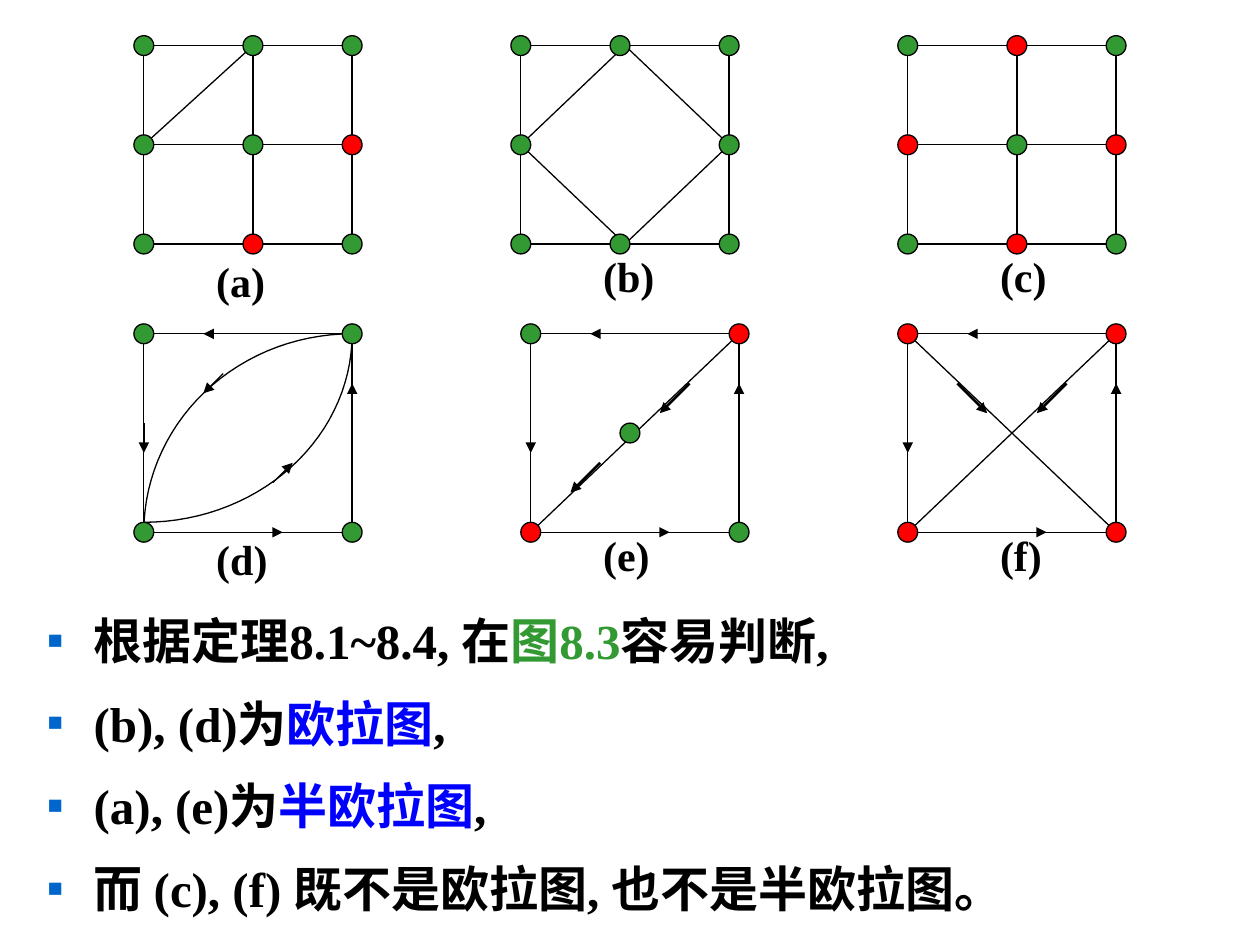
"""Build a slide that sorts six graphs into Euler, semi-Euler and other graphs."""
import dataclasses
import math

import pptx
import pptx.dml.color
import pptx.enum.shapes
import pptx.enum.text
import pptx.oxml
import pptx.oxml.ns
import pptx.util

Cm = pptx.util.Cm
Pt = pptx.util.Pt
RGB = pptx.dml.color.RGBColor
Kind = pptx.enum.shapes.MSO_SHAPE


@dataclasses.dataclass(frozen=True)
class Theme:
    black: RGB = RGB(0, 0, 0)
    green: RGB = RGB(0x33, 0x99, 0x33)
    red: RGB = RGB(0xFF, 0, 0)
    blue: RGB = RGB(0, 0, 0xFF)
    bullet: str = "0066CC"
    font: str = "Times New Roman"
    body: Pt = Pt(28)
    label: Pt = Pt(24)
    thin: Pt = Pt(0.75)
    thick: Pt = Pt(1.5)


theme = Theme()
deck = pptx.Presentation()
deck.slide_width, deck.slide_height = Cm(25.4), Cm(19.05)
slide = deck.slides.add_slide(deck.slide_layouts[6])
shapes = slide.shapes


def paint(shape, fill=None):
    """Outline a shape in black, with a solid fill or none."""
    shape.shadow.inherit = False
    shape.line.color.rgb = theme.black
    shape.line.width = theme.thin
    if fill is None:
        shape.fill.background()
    else:
        shape.fill.solid()
        shape.fill.fore_color.rgb = fill


def link(left, top, ends, width=theme.thin, arrow=False):
    """Draw a line between two points measured from a graph's corner."""
    x1, y1, x2, y2 = ends
    line = shapes.add_connector(
        pptx.enum.shapes.MSO_CONNECTOR.STRAIGHT,
        Cm(left + x1), Cm(top + y1), Cm(left + x2), Cm(top + y2))
    line.line.color.rgb = theme.black
    line.line.width = width
    if arrow:
        tail = pptx.oxml.parse_xml(
            f'<a:tailEnd {pptx.oxml.ns.nsdecls("a")} type="triangle"/>')
        line.line._get_or_add_ln().append(tail)
    blank = pptx.oxml.parse_xml(f'<a:effectLst {pptx.oxml.ns.nsdecls("a")}/>')
    line._element.spPr.append(blank)


WIDE, HIGH, DOT = 4.2, 4, 0.4
UPPER, LOWER = 0.92, 6.73

graphs = {
    "a": (2.9, UPPER, 2.2, "GGG GGR GRG"),
    "b": (10.5, UPPER, 2, "GGG G.G GGG"),
    "c": (18.3, UPPER, 2.2, "GRG RGR GRG"),
    "d": (2.9, LOWER, 2, "G.G ... G.G"),
    "e": (10.7, LOWER, 2, "G.R .G. R.G"),
    "f": (18.3, LOWER, 2, "R.R ... R.R"),
}
cross = [(0, 2, WIDE, 2), (2.2, 0, 2.2, HIGH)]
rise, fall = (WIDE, 0, 0, HIGH), (0, 0, WIDE, HIGH)
edges = {"a": cross + [(2.2, 0, 0, 2)], "c": cross, "e": [rise], "f": [rise, fall]}
rim = [(2, 0, 1.2, 0), (0, 1.8, 0, 2.4), (2, HIGH, 2.8, HIGH), (WIDE, 1.6, WIDE, 1)]
down = (3.2, 1, 2.6, 1.6)
heads = {
    "d": (theme.thin, [(1.6, 0.8, 1.2, 1.2), (2.6, 3, 3, 2.6)]),
    "e": (theme.thick, [down, (1.4, 2.6, 0.8, 3.2)]),
    "f": (theme.thick, [down, (1, 1, 1.6, 1.6)]),
}
turns = [math.radians(3 * step) for step in range(31)]
curves = {"d": [
    [(WIDE * (1 - math.cos(t)), HIGH * (1 - math.sin(t))) for t in turns],
    [(WIDE * math.sin(t), 3.8 * math.cos(t)) for t in turns],
]}
tints = {"G": theme.green, "R": theme.red}

for name, (left, top, mid, rows) in graphs.items():
    frame = (Cm(left), Cm(top), Cm(WIDE), Cm(HIGH))
    paint(shapes.add_shape(Kind.RECTANGLE, *frame))
    if name == "b":
        paint(shapes.add_shape(Kind.DIAMOND, *frame))
    for ends in edges.get(name, []):
        link(left, top, ends)
    for curve in curves.get(name, []):
        spots = [(Cm(left + x), Cm(top + y)) for x, y in curve]
        pen = shapes.build_freeform(*spots[0])
        pen.add_line_segments(spots[1:], close=False)
        paint(pen.convert_to_shape())
    if name in heads:
        for ends in rim:
            link(left, top, ends, arrow=True)
        width, inner = heads[name]
        for ends in inner:
            link(left, top, ends, width, arrow=True)
    for y, row in zip((0, 2, HIGH), rows.split()):
        for x, mark in zip((0, mid, WIDE), row):
            if mark in tints:
                paint(shapes.add_shape(
                    Kind.OVAL, Cm(left + x - DOT / 2), Cm(top + y - DOT / 2),
                    Cm(DOT), Cm(DOT)), tints[mark])

labels = [
    ("(a)", 4.11, 5.03, 1.5), ("(b)", 11.91, 4.92, 1.55), ("(c)", 19.91, 4.92, 1.45),
    ("(d)", 4.11, 10.64, 1.55), ("(e)", 11.91, 10.54, 1.45), ("(f)", 19.91, 10.54, 1.35),
]
for text, left, top, width in labels:
    frame = shapes.add_textbox(Cm(left), Cm(top), Cm(width), Cm(1.27)).text_frame
    frame.word_wrap = False
    frame.auto_size = pptx.enum.text.MSO_AUTO_SIZE.SHAPE_TO_FIT_TEXT
    run = frame.paragraphs[0].add_run()
    run.text = text
    run.font.name, run.font.size, run.font.bold = theme.font, theme.label, True
    run.font.color.rgb = theme.black

points = [
    [("根据定理8.1~8.4, 在", theme.black), ("图8.3", theme.green),
     ("容易判断,", theme.black)],
    [("(b), (d)为", theme.black), ("欧拉图", theme.blue), (",", theme.black)],
    [("(a), (e)为", theme.black), ("半欧拉图", theme.blue), (",", theme.black)],
    [("而 (c), (f) 既不是欧拉图, 也不是半欧拉图。", theme.black)],
]
frame = shapes.add_textbox(Cm(0.69), Cm(11.94), Cm(23.8), Cm(7)).text_frame
frame.word_wrap = True
for rank, parts in enumerate(points):
    para = frame.add_paragraph() if rank else frame.paragraphs[0]
    props = para._p.get_or_add_pPr()
    props.set("marL", str(Cm(0.95)))
    props.set("indent", str(Cm(-0.95)))
    for tag in (f'buClr {{}}><a:srgbClr val="{theme.bullet}"/></a:buClr>',
                f'buFont {{}} typeface="{theme.font}"/>',
                'buChar {} char="▪"/>'):
        props.append(pptx.oxml.parse_xml(
            "<a:" + tag.format(pptx.oxml.ns.nsdecls("a"))))
    para.line_spacing = 1.2
    if rank:
        para.space_before = Pt(7)
    for text, tint in parts:
        run = para.add_run()
        run.text = text
        run.font.name, run.font.size, run.font.bold = theme.font, theme.body, True
        run.font.color.rgb = tint

deck.save("out.pptx")
